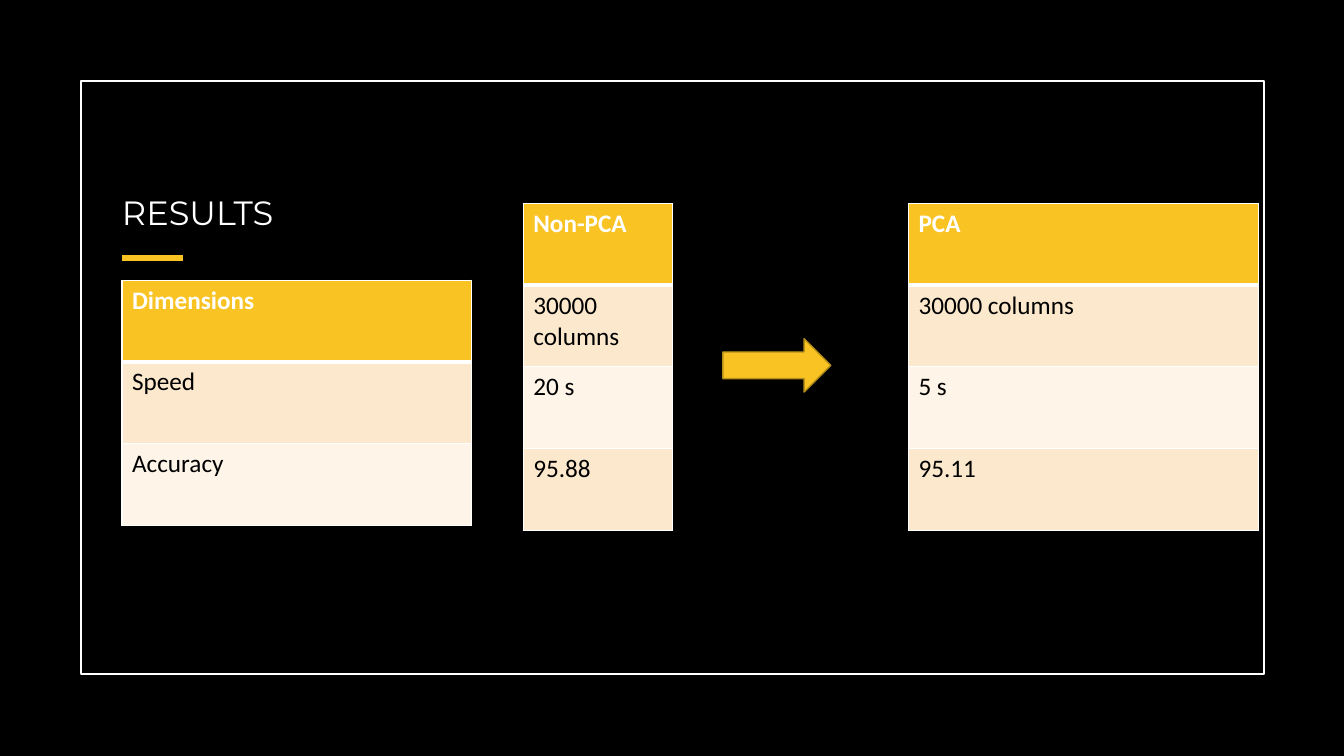
from dataclasses import dataclass

from lxml.etree import SubElement
from pptx import Presentation
from pptx.dml.color import RGBColor
from pptx.enum.shapes import MSO_CONNECTOR, MSO_SHAPE
from pptx.enum.text import MSO_ANCHOR, PP_ALIGN
from pptx.oxml.ns import qn
from pptx.util import Inches, Pt

# Content: left, top, width, then the cell texts of each one-column table
TITLE = "RESULTS"
TABLES = [
    (1.21, 2.78, 3.47, ["Dimensions", "Speed", "Accuracy"]),
    (5.19, 2.02, 1.48, ["Non-PCA", "30000 columns", "20 s", "95.88"]),
    (9.01, 2.02, 3.47, ["PCA", "30000 columns", "5 s", "95.11"]),
]
ROW_H = 0.81


@dataclass(frozen=True)
class Theme:
    black: str = "000000"
    white: str = "FFFFFF"
    accent: str = "F9C423"
    header: str = "F8C323"
    bands: tuple = ("FCE9CD", "FEF5E8")
    arrow_line: str = "B7901A"
    title_font: str = "Montserrat"
    body_font: str = "Calibri"
    title_size: int = 24
    body_size: int = 18


THEME = Theme()


def rgb(value):
    return RGBColor.from_string(value)


def set_font(p, name, size, color, bold=False):
    p.font.name = name
    p.font.size = Pt(size)
    p.font.bold = bold
    p.font.color.rgb = rgb(color)


def set_line(line, color, width):
    line.color.rgb = rgb(color)
    line.width = Pt(width)


def set_borders(cell, top, bottom):
    tcPr = cell._tc.get_or_add_tcPr()
    for side, width in (("L", 1), ("R", 1), ("T", top), ("B", bottom)):
        ln = SubElement(tcPr, qn(f"a:ln{side}"), w=str(Pt(width)))
        fill = SubElement(ln, qn("a:solidFill"))
        SubElement(fill, qn("a:srgbClr"), val=THEME.white)


def add_column(slide, left, top, width, texts):
    frame = slide.shapes.add_table(
        len(texts), 1, Inches(left), Inches(top),
        Inches(width), Inches(ROW_H * len(texts)))
    table = frame.table
    for i, text in enumerate(texts):
        is_header = i == 0
        table.rows[i].height = Inches(ROW_H)
        cell = table.cell(i, 0)
        cell.text = text
        set_font(cell.text_frame.paragraphs[0], THEME.body_font, THEME.body_size,
                 THEME.white if is_header else THEME.black, is_header)
        # The rule under the header is heavier than the others
        set_borders(cell, top=3 if i == 1 else 1, bottom=3 if is_header else 1)
        cell.fill.solid()
        cell.fill.fore_color.rgb = rgb(
            THEME.header if is_header else THEME.bands[(i - 1) % 2])


def main():
    prs = Presentation()
    prs.slide_width, prs.slide_height = Inches(13.33), Inches(7.5)
    slide = prs.slides.add_slide(prs.slide_layouts[5])
    slide.background.fill.solid()
    slide.background.fill.fore_color.rgb = rgb(THEME.black)

    # Frame
    frame = slide.shapes.add_shape(
        MSO_SHAPE.RECTANGLE, Inches(0.8), Inches(0.8), Inches(11.74), Inches(5.89))
    frame.shadow.inherit = False
    frame.fill.background()
    set_line(frame.line, THEME.white, 1.5)

    # Title and its underline
    title = slide.shapes.title
    title.left, title.top = Inches(1.21), Inches(1.23)
    title.width, title.height = Inches(10.92), Inches(1.07)
    tf = title.text_frame
    tf.text = TITLE
    tf.vertical_anchor = MSO_ANCHOR.BOTTOM
    tf.margin_left = tf.margin_right = tf.margin_top = tf.margin_bottom = 0
    p = tf.paragraphs[0]
    p.alignment = PP_ALIGN.LEFT
    set_font(p, THEME.title_font, THEME.title_size, THEME.white)

    rule = slide.shapes.add_connector(
        MSO_CONNECTOR.STRAIGHT, Inches(1.21), Inches(2.56), Inches(1.82), Inches(2.56))
    set_line(rule.line, THEME.accent, 4)
    SubElement(rule._element.spPr, qn("a:effectLst"))

    # Tables
    for left, top, width, texts in TABLES:
        add_column(slide, left, top, width, texts)

    # Arrow from Non-PCA to PCA
    arrow = slide.shapes.add_shape(
        MSO_SHAPE.RIGHT_ARROW, Inches(7.17), Inches(3.36), Inches(1.07), Inches(0.53))
    arrow.shadow.inherit = False
    arrow.fill.solid()
    arrow.fill.fore_color.rgb = rgb(THEME.header)
    set_line(arrow.line, THEME.arrow_line, 1)

    prs.save("out.pptx")


if __name__ == "__main__":
    main()
